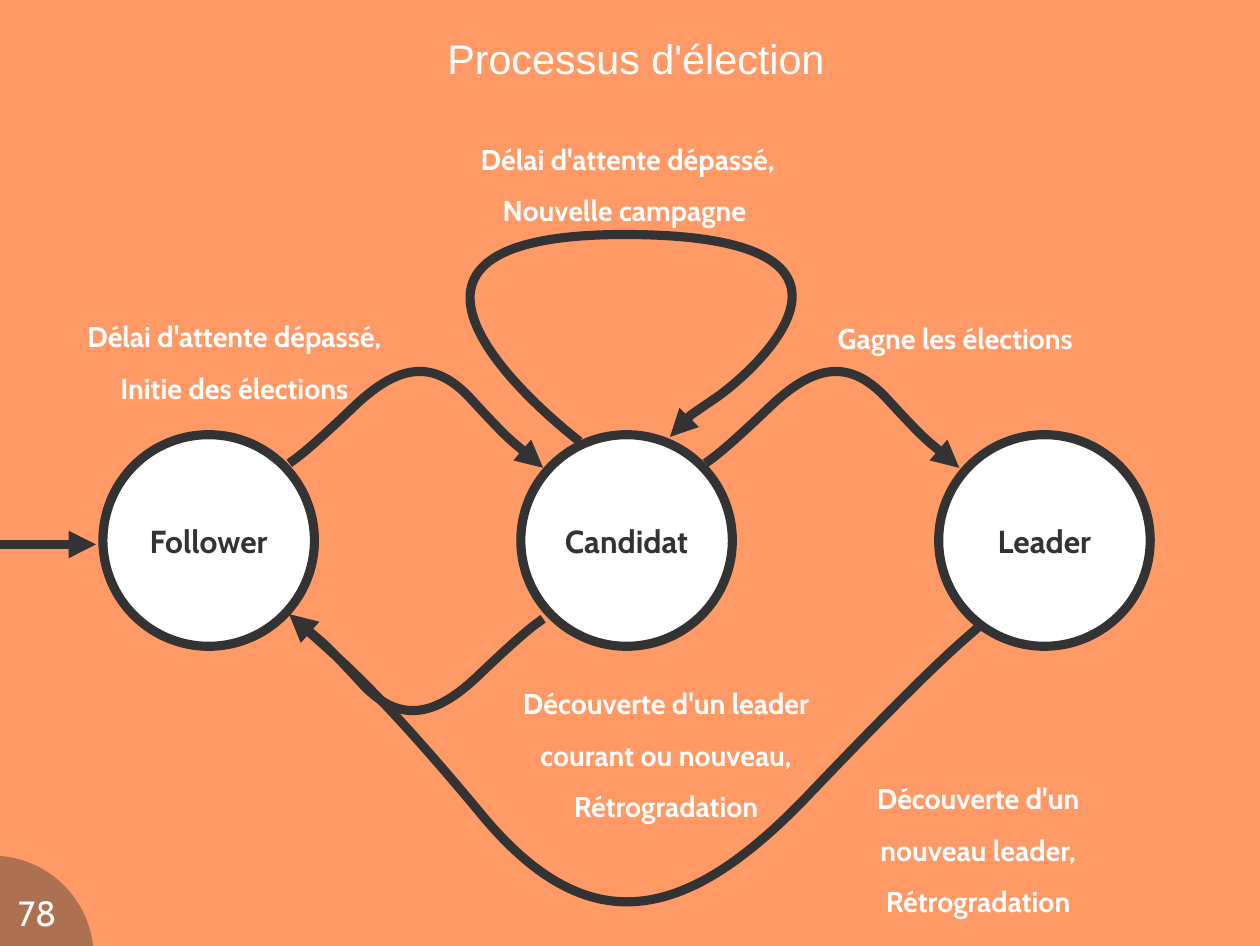
from pptx import Presentation
from pptx.dml.color import RGBColor
from pptx.enum.shapes import MSO_CONNECTOR, MSO_SHAPE
from pptx.enum.text import MSO_ANCHOR, MSO_AUTO_SIZE, PP_ALIGN
from pptx.oxml.ns import qn
from pptx.util import Inches, Pt
from lxml.etree import SubElement

DARK, WHITE, ORANGE = "333333", "FFFFFF", "FF9966"
STATES = ["Follower", "Candidat", "Leader"]
FIRST, STEP, TOP, SIZE = 0.9, 3.655, 3.8, 1.85

HOP = [(2.53, 4.05), (2.6, 4), (2.68, 3.95), (3.08, 3.57),
       (3.47, 3.19), (3.79, 3.12), (4.13, 3.5),
       (4.48, 3.88), (4.75, 4.09), (4.75, 4.09)]
LOOP = [(5.07, 3.86), (4.66, 3.54), (2.93, 2.05), (5.46, 2.05),
        (8, 2.05), (6.54, 3.3), (6.23, 3.5),
        (5.92, 3.71), (5.86, 3.82), (5.86, 3.82)]
SWOOP = [(8.56, 5.48), (8.39, 5.63), (8.17, 5.8), (7.09, 6.93),
         (6.02, 8.06), (5.16, 8.26), (4.22, 7.13),
         (3.28, 6), (2.53, 5.37), (2.53, 5.37)]
CURVES = [
    HOP,
    LOOP,
    [(x + 3.64, y) for x, y in HOP],
    [(7.28 - x, 9.46 - y) for x, y in HOP],
    SWOOP,
]
LABELS = [
    (7.05, 2.61, 2.61, 0.61, ["Gagne les élections"]),
    (3.89, 1.04, 3.2, 1.12, ["Délai d'attente dépassé,", "Nouvelle campagne "]),
    (4.27, 5.8, 3.11, 1.63,
     ["Découverte d'un leader", "courant ou nouveau,", "Rétrogradation"]),
    (7.43, 6.63, 2.25, 1.63,
     ["Découverte d'un", "nouveau leader,", "Rétrogradation"]),
    (0.45, 2.59, 3.2, 1.12, ["Délai d'attente dépassé,", "Initie des élections"]),
]


def paint(fill, color):
    fill.solid()
    fill.fore_color.rgb = RGBColor.from_string(color)


def stroke(line, arrow=True):
    paint(line.fill, DARK)
    line.width = Pt(5.75)
    if arrow:
        SubElement(line.fill._xPr, qn("a:tailEnd"), type="triangle")


def write(frame, rows, size, color, font="Cabin", bold=False, gap=None,
          inset=(0, 0), wrap=True):
    frame.word_wrap = wrap
    frame.margin_left = frame.margin_right = Inches(inset[0])
    frame.margin_top = frame.margin_bottom = Inches(inset[1])
    para = frame.paragraphs[0]
    para.alignment = PP_ALIGN.CENTER
    if gap:
        para.line_spacing = gap
    for i, row in enumerate(rows):
        if i:
            para.add_line_break()
        run = para.add_run()
        run.text = row
        run.font.name = font
        run.font.size = Pt(size)
        run.font.bold = bold
        run.font.color.rgb = RGBColor.from_string(color)


def disc(slide, x, y, size, color):
    shape = slide.shapes.add_shape(
        MSO_SHAPE.OVAL, Inches(x), Inches(y), Inches(size), Inches(size))
    shape.shadow.inherit = False
    paint(shape.fill, color)
    return shape


def box(slide, x, y, w, h):
    return slide.shapes.add_textbox(
        Inches(x), Inches(y), Inches(w), Inches(h)).text_frame


def bend(quad, t):
    mix = [(1 - t) ** 3, 3 * t * (1 - t) ** 2, 3 * t * t * (1 - t), t ** 3]
    return tuple(round(sum(m * p[k] for m, p in zip(mix, quad))) for k in (0, 1))


def curve(slide, marks):
    pts = [(Inches(x), Inches(y)) for x, y in marks]
    trace = [bend(pts[i:i + 4], n / 20)
             for i in range(0, len(pts) - 1, 3) for n in range(1, 21)]
    pen = slide.shapes.build_freeform(*pts[0])
    pen.add_line_segments(trace, close=False)
    shape = pen.convert_to_shape()
    shape.shadow.inherit = False
    shape.fill.background()
    stroke(shape.line)
    route = shape._element.find(".//" + qn("a:path"))
    for old in list(route):
        route.remove(old)
    for i, (x, y) in enumerate(pts):
        if i == 0:
            part = SubElement(route, qn("a:moveTo"))
        elif i % 3 == 1:
            part = SubElement(route, qn("a:cubicBezTo"))
        SubElement(part, qn("a:pt"), x=str(x - shape.left), y=str(y - shape.top))


def main():
    deck = Presentation()
    deck.slide_width, deck.slide_height = Inches(11.02), Inches(8.27)
    slide = deck.slides.add_slide(deck.slide_layouts[6])
    paint(slide.background.fill, ORANGE)

    badge = disc(slide, -0.96, 7.48, 1.78, DARK)
    badge.line.fill.background()
    tint = badge._element.spPr.find(".//" + qn("a:srgbClr"))
    SubElement(tint, qn("a:alpha"), val="40000")

    for i, name in enumerate(STATES):
        state = disc(slide, FIRST + i * STEP, TOP, SIZE, WHITE)
        stroke(state.line, arrow=False)
        state.text_frame.vertical_anchor = MSO_ANCHOR.MIDDLE
        write(state.text_frame, [name], 20, DARK, bold=True,
              inset=(0.14, 0.09), wrap=False)

    entry = slide.shapes.add_connector(
        MSO_CONNECTOR.STRAIGHT, Inches(-0.09), Inches(4.76),
        Inches(0.84), Inches(4.76))
    stroke(entry.line)
    SubElement(entry._element.spPr, qn("a:effectLst"))

    for marks in CURVES:
        curve(slide, marks)

    for x, y, w, h, rows in LABELS:
        frame = box(slide, x, y, w, h)
        write(frame, rows, 18, WHITE, bold=True, gap=1.5,
              inset=(0.1, 0.05), wrap=False)
        frame.auto_size = MSO_AUTO_SIZE.SHAPE_TO_FIT_TEXT

    title = box(slide, 0.33, 0.02, 10.47, 0.98)
    title.vertical_anchor = MSO_ANCHOR.MIDDLE
    write(title, ["Processus d'élection"], 26, WHITE, font="Arial")
    write(box(slide, 0.09, 7.79, 0.47, 0.39), ["78"], 22, WHITE)

    deck.save("out.pptx")


if __name__ == "__main__":
    main()
